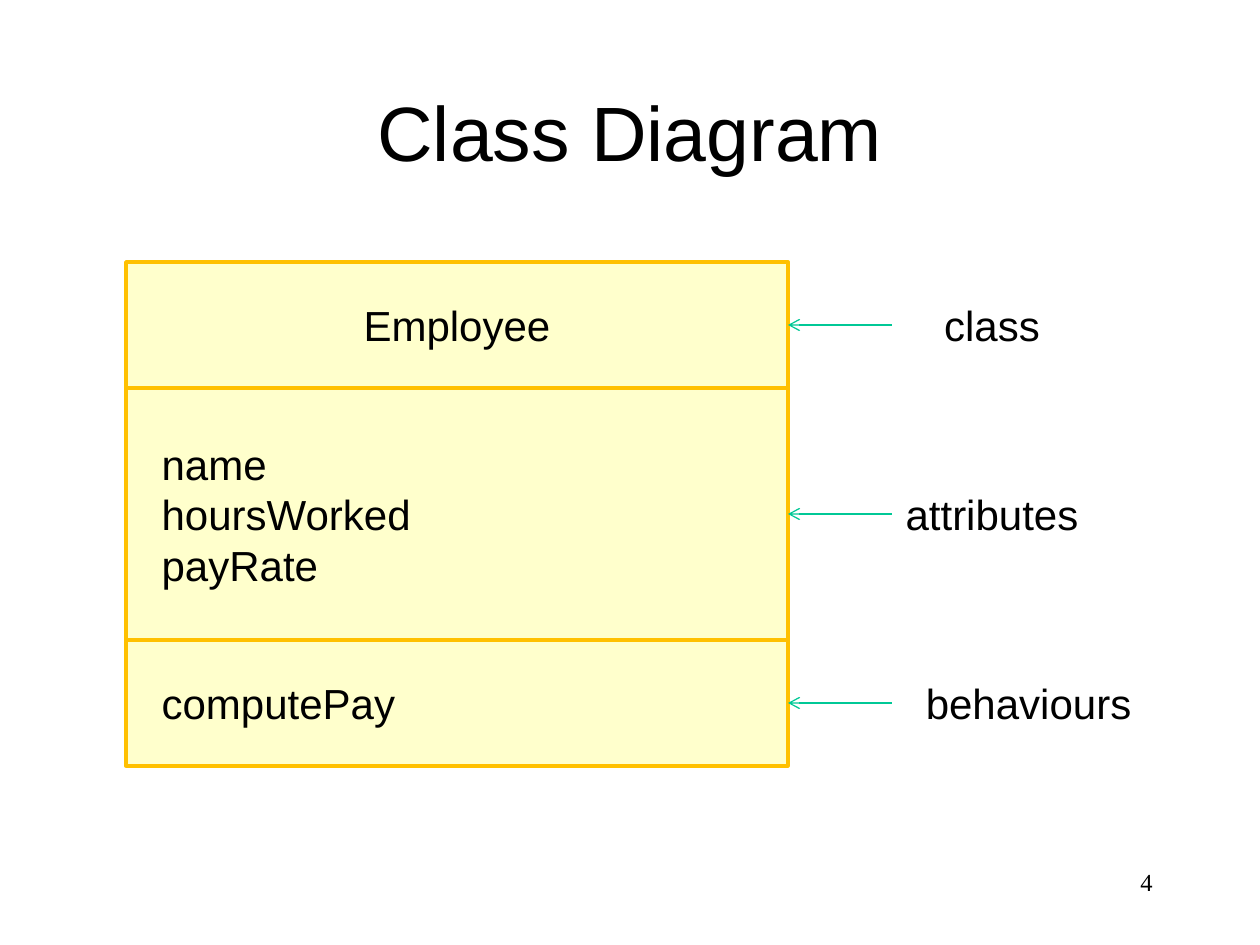
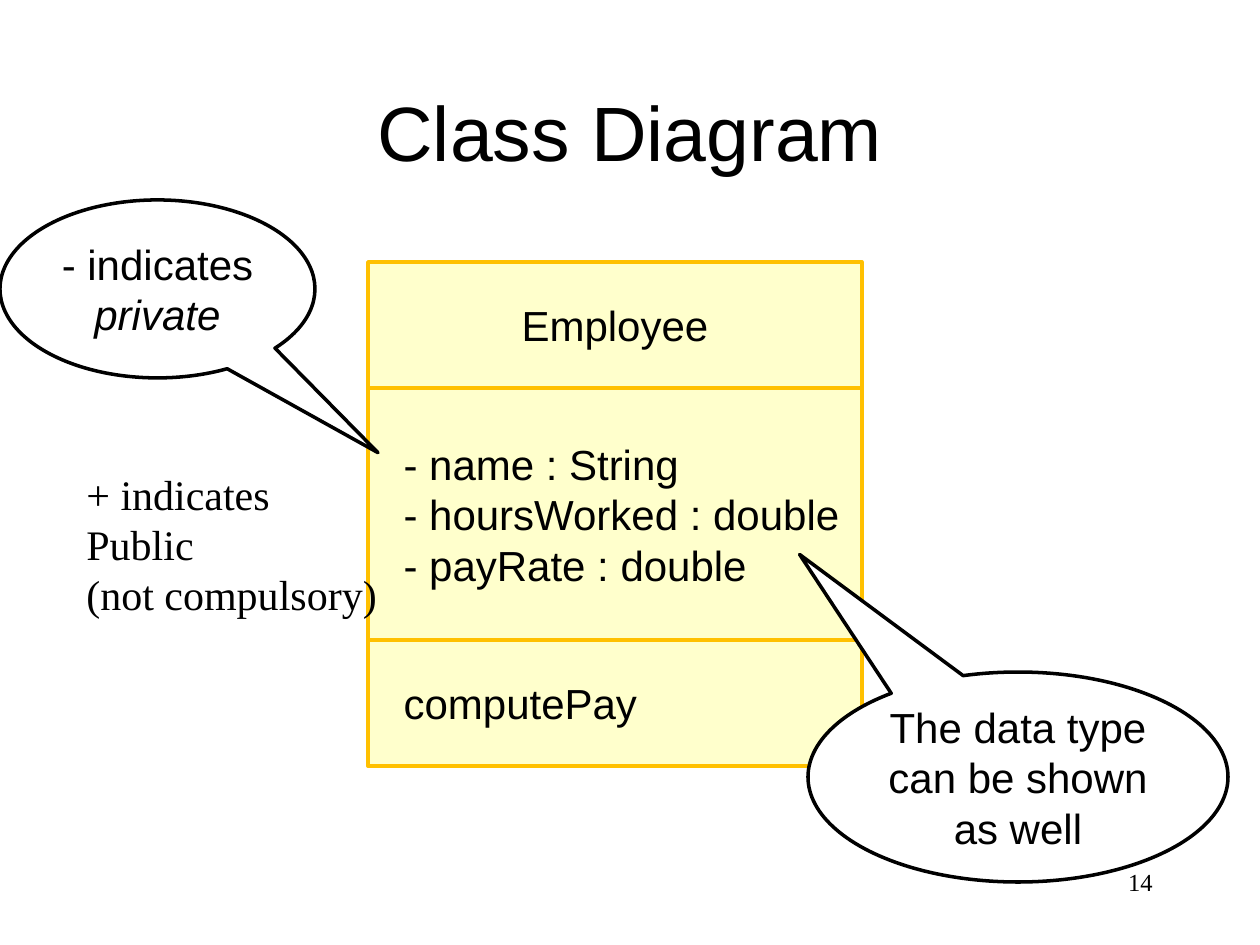
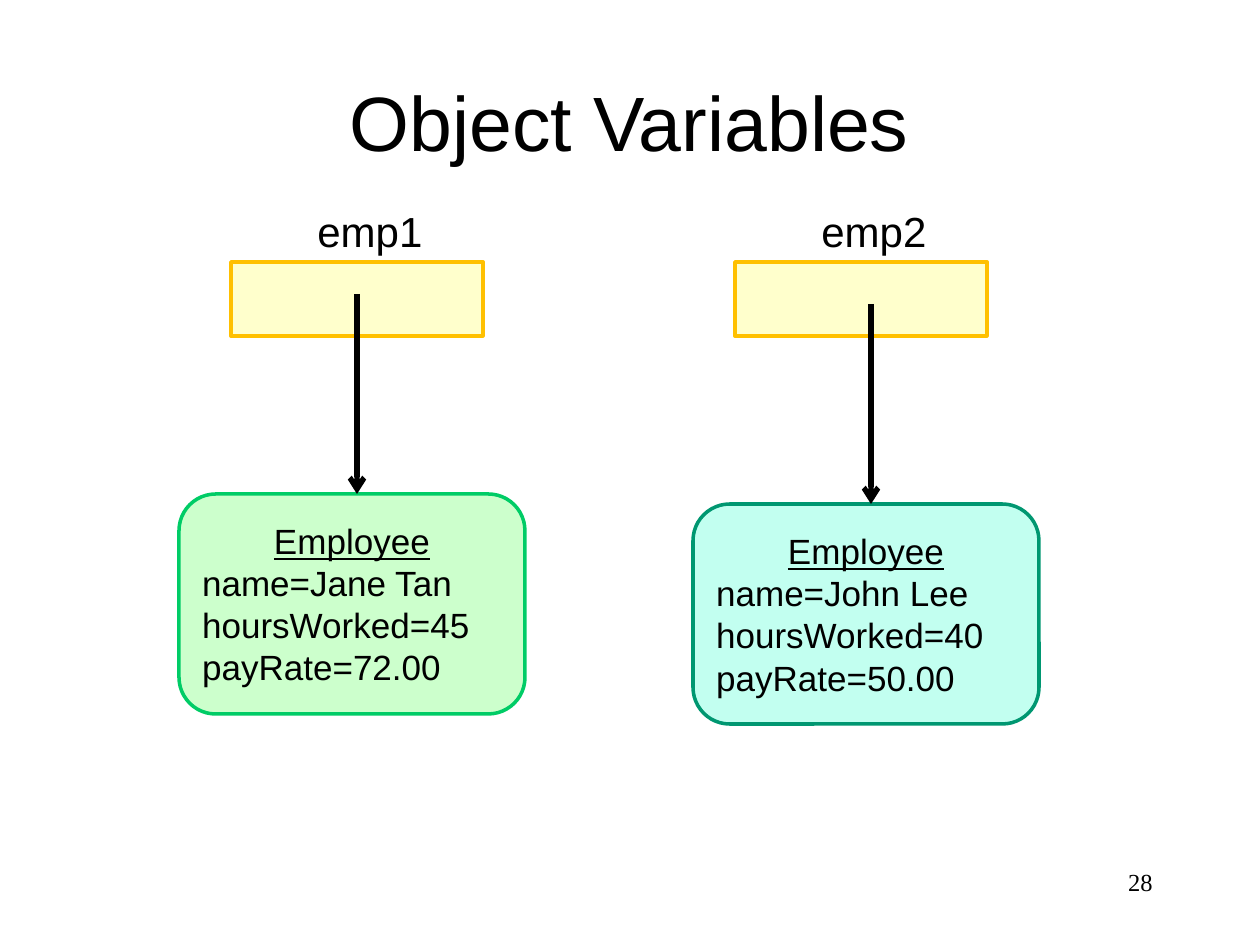
from lxml import etree
from pptx import Presentation
from pptx.dml.color import RGBColor
from pptx.enum.shapes import MSO_CONNECTOR, MSO_SHAPE
from pptx.enum.text import MSO_ANCHOR, PP_ALIGN
from pptx.oxml.ns import qn
from pptx.util import Emu, Pt

STRAIGHT = MSO_CONNECTOR.STRAIGHT
RECTANGLE, ROUNDED = MSO_SHAPE.RECTANGLE, MSO_SHAPE.ROUNDED_RECTANGLE
CALLOUT = MSO_SHAPE.OVAL_CALLOUT
TOP, MIDDLE = MSO_ANCHOR.TOP, MSO_ANCHOR.MIDDLE
LEFT, CENTER, RIGHT = PP_ALIGN.LEFT, PP_ALIGN.CENTER, PP_ALIGN.RIGHT

# Shared look
BLACK = RGBColor(0x00, 0x00, 0x00)
WHITE = RGBColor(0xFF, 0xFF, 0xFF)
CREAM = RGBColor(0xFF, 0xFF, 0xCC)
AMBER = RGBColor(0xFF, 0xC0, 0x00)
TEAL = RGBColor(0x00, 0xC8, 0x96)
MINT, PINE = RGBColor(0xC2, 0xFF, 0xF0), RGBColor(0x00, 0x97, 0x71)
PALE_GREEN, GREEN = RGBColor(0xCC, 0xFF, 0xCC), RGBColor(0x00, 0xCC, 0x66)

SANS, SERIF = "Arial", "Times New Roman"
BODY = {"name": SANS, "size": Pt(24)}
TITLE = {"name": SANS, "size": Pt(44)}
NUMBER = {"name": SERIF, "size": Pt(14)}
NOTE = {"name": SERIF, "size": Pt(24)}
FIELD = {"name": SANS, "size": Pt(20)}

# Content: a paragraph is a string or a list of (text, format) spans
CLASS_TOP, ROW = 262, 126
LABEL_LEFT = 892
INDENT = 23

ANNOTATED_CLASS = {
    "left": 126, "width": 662,
    "parts": [["Employee"], ["name", "hoursWorked", "payRate"], ["computePay"]],
}
TYPED_CLASS = {
    "left": 368, "width": 494,
    "parts": [["Employee"],
              ["- name : String", "- hoursWorked : double", "- payRate : double"],
              ["computePay"]],
}
PART_LABELS = [("class", 200), ("attributes", 200), ("behaviours", 273)]
CALLOUTS = [
    ((808, 672, 420, 210), (-0.52, -1.06), ["The data type can be shown as well"]),
    ((0, 200, 315, 178), (0.7, 0.92),
     [[("- indicates ", {}), ("private", {"italic": True})]]),
]
PUBLIC_NOTE = ["+ indicates", "Public", "(not compulsory)"]

# Variable name, cell left, object left and top, object colours, field values
VARIABLES = [
    ("emp1", 231, (179, 494), (PALE_GREEN, GREEN), ("Jane Tan", "45", "72.00")),
    ("emp2", 735, (693, 504), (MINT, PINE), ("John Lee", "40", "50.00")),
]
FIELDS = ("name", "hoursWorked", "payRate")
CELL_WIDTH, CELL_HEIGHT = 252, 74
OBJECT_WIDTH, OBJECT_HEIGHT = 346, 220
POINTER_LENGTH = 200


def px(length):
    return Emu(round(length * 914400 / 126))


def write(shape, paragraphs, style, align=LEFT, anchor=MIDDLE, wrap=True, indent=0):
    frame = shape.text_frame
    frame.word_wrap = wrap
    frame.vertical_anchor = anchor
    frame.margin_left = px(12.6 + indent)
    for index, content in enumerate(paragraphs):
        para = frame.paragraphs[0] if index == 0 else frame.add_paragraph()
        para.alignment = align
        spans = [(content, {})] if isinstance(content, str) else content
        for text, extra in spans:
            span = para.add_run()
            span.text = text
            span.font.color.rgb = BLACK
            for key, value in {**style, **extra}.items():
                setattr(span.font, key, value)


def add_text(page, area, paragraphs, style, **layout):
    box = page.shapes.add_textbox(*map(px, area))
    write(box, paragraphs, style, **layout)


def add_box(page, kind, area, fill, line=None):
    box = page.shapes.add_shape(kind, *map(px, area))
    box.shadow.inherit = False
    box.fill.solid()
    box.fill.fore_color.rgb = fill
    if line is None:
        box.line.fill.background()
    else:
        box.line.color.rgb = line
        box.line.width = Pt(2)
    return box


def add_arrow(page, start, end, color, width):
    arrow = page.shapes.add_connector(STRAIGHT, *map(px, (*start, *end)))
    arrow.line.color.rgb = color
    arrow.line.width = Pt(width)
    etree.SubElement(arrow.line._get_or_add_ln(), qn("a:tailEnd"), type="arrow")
    etree.SubElement(arrow._element.spPr, qn("a:effectLst"))


def add_page(title, number, title_area=(42, 52, 1176, 158)):
    page = deck.slides.add_slide(deck.slide_layouts[6])
    add_text(page, (903, 861, 262, 63), [number], NUMBER, align=RIGHT, anchor=TOP)
    add_text(page, title_area, [title], TITLE, align=CENTER)
    return page


def add_class(page, left, width, parts):
    """Stack the compartments and return the vertical centre of each."""
    top, centers = CLASS_TOP, []
    for index, (lines, rows) in enumerate(zip(parts, (1, 2, 1))):
        height = rows * ROW
        box = add_box(page, RECTANGLE, (left, top, width, height), CREAM, AMBER)
        heading = index == 0
        write(box, lines, BODY, align=CENTER if heading else LEFT,
              indent=0 if heading else INDENT)
        centers.append(top + height / 2)
        top += height
    return centers


deck = Presentation()
deck.slide_width, deck.slide_height = px(1260), px(945)

# Class with its parts named
page = add_page("Class Diagram", "4")
class_right = ANNOTATED_CLASS["left"] + ANNOTATED_CLASS["width"]
centers = add_class(page, **ANNOTATED_CLASS)
for (name, width), center in zip(PART_LABELS, centers):
    label = add_box(page, RECTANGLE, (LABEL_LEFT, center - ROW / 2, width, ROW), WHITE)
    write(label, [name], BODY, align=CENTER)
    add_arrow(page, (LABEL_LEFT, center), (class_right, center), TEAL, 0.75)

# Class with visibility and data types
page = add_page("Class Diagram", "14")
add_class(page, **TYPED_CLASS)
for area, tip, lines in CALLOUTS:
    callout = add_box(page, CALLOUT, area, WHITE, BLACK)
    for index, offset in enumerate(tip):
        callout.adjustments[index] = offset
    write(callout, lines, BODY, align=CENTER)
add_text(page, (74, 462, 318, 165), PUBLIC_NOTE, NOTE, anchor=TOP, wrap=False)

# Variables pointing at their objects
page = add_page("Object Variables", "28", (94, 42, 1071, 158))
for name, cell_left, (left, top), colors, values in VARIABLES:
    add_box(page, RECTANGLE, (cell_left, CLASS_TOP, CELL_WIDTH, CELL_HEIGHT), CREAM, AMBER)
    add_text(page, (cell_left + 74, 189, 168, 84), [name], BODY)
    instance = add_box(page, ROUNDED, (left, top, OBJECT_WIDTH, OBJECT_HEIGHT), *colors)
    lines = [f"{field}={value}" for field, value in zip(FIELDS, values)]
    write(instance, [[("Employee", {"underline": True})], *lines], FIELD)
    instance.text_frame.paragraphs[0].alignment = CENTER
    pointer = left + 178
    add_arrow(page, (pointer, top - POINTER_LENGTH), (pointer, top), BLACK, 3)

deck.save("out.pptx")
